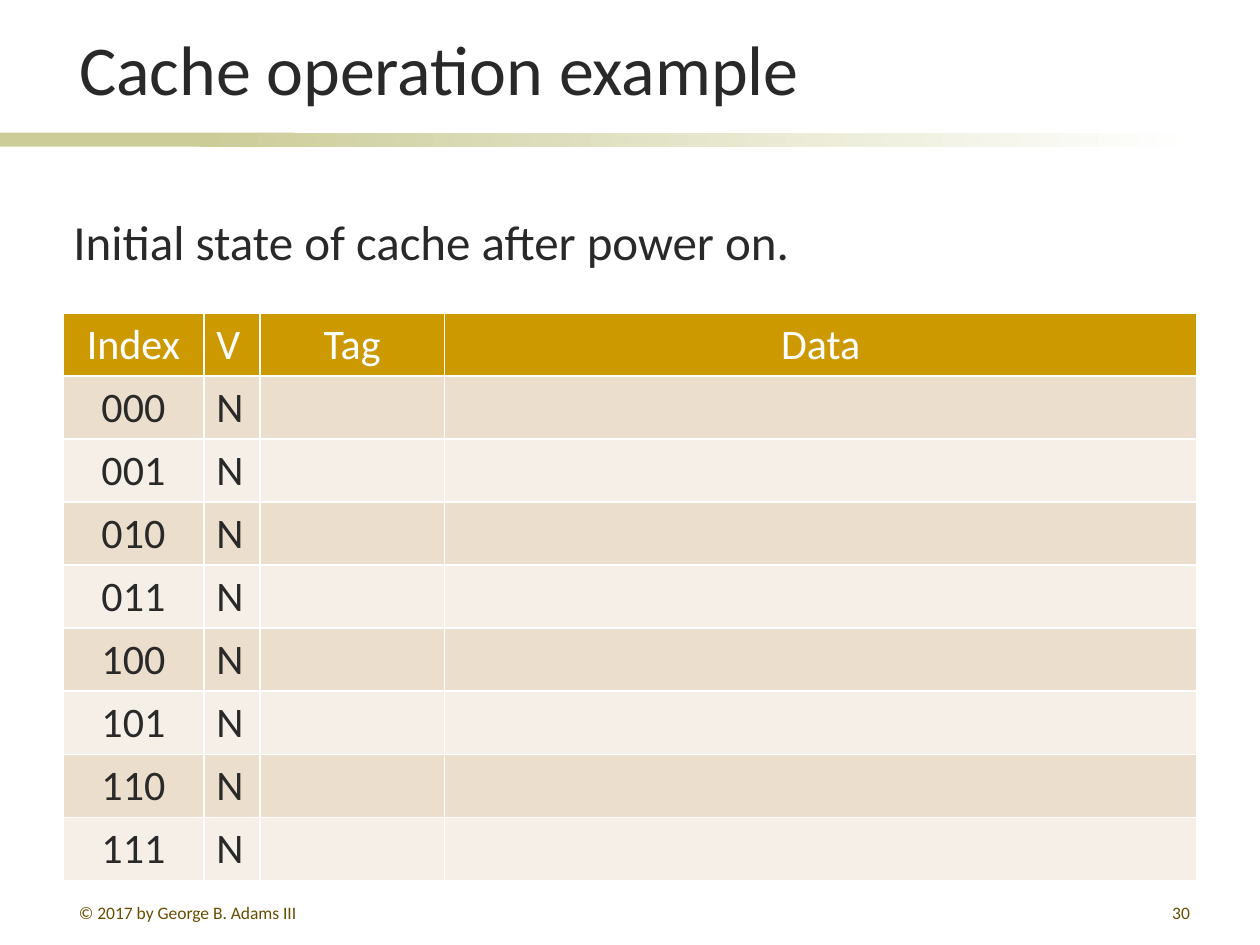
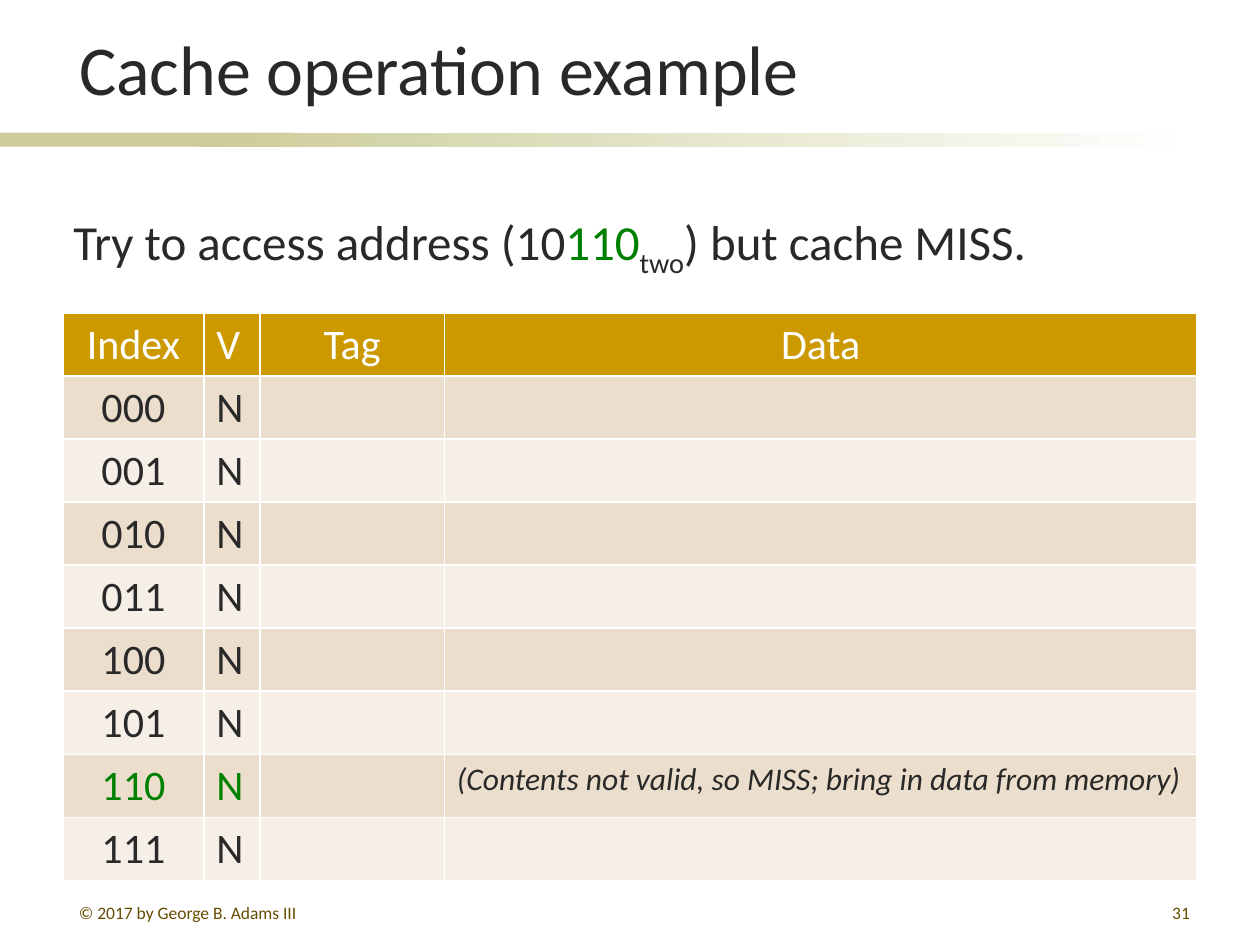
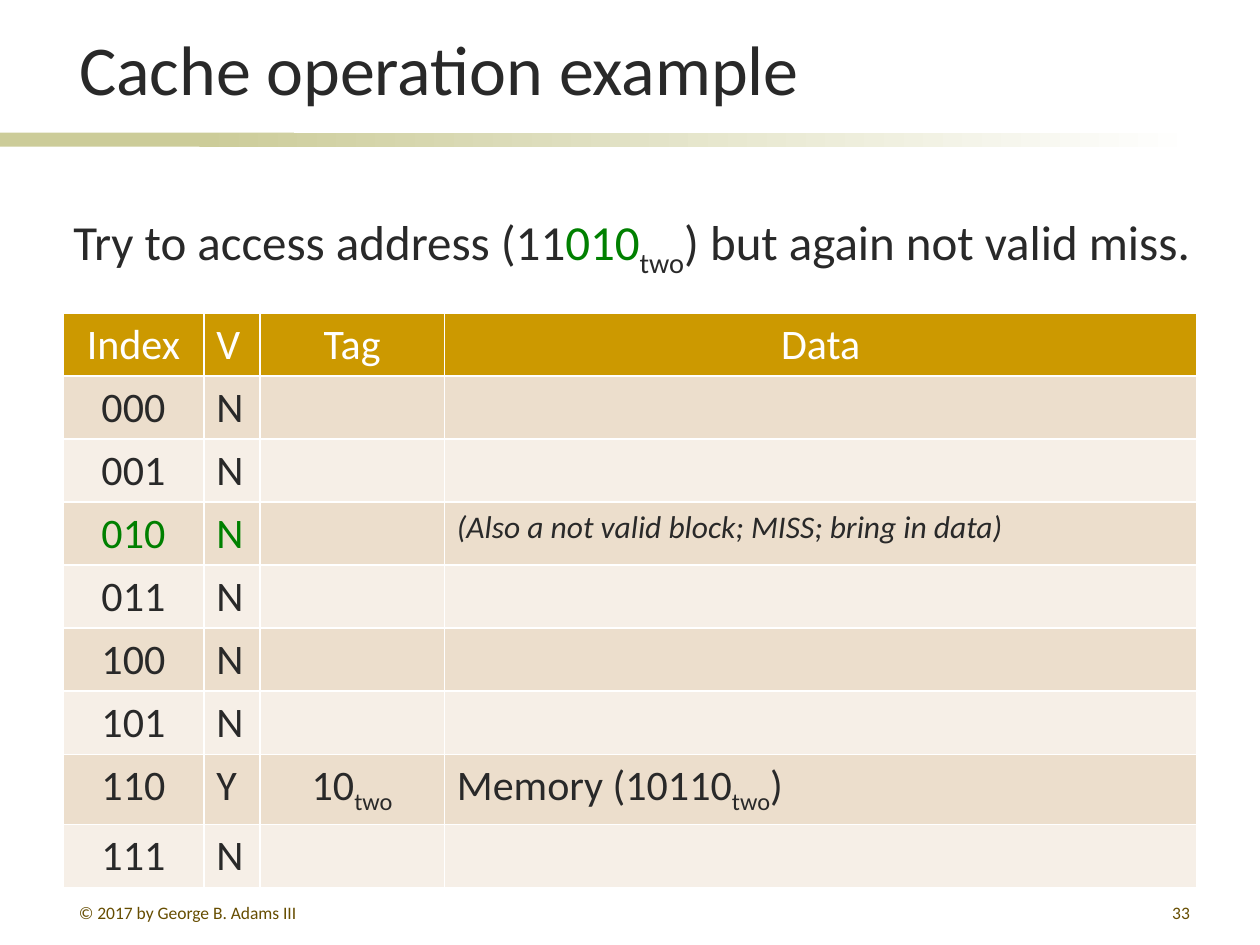
"""Build three slides that walk through the operation of a small cache."""
from lxml import etree
from pptx import Presentation
from pptx.dml import color
from pptx.enum import shapes, text
from pptx.oxml import ns
from pptx.util import Pt

COLORS = {
    "ink": "292929",
    "white": "FFFFFF",
    "olive": "CCCC99",
    "header": "CC9900",
    "odd_row": "ECDECC",
    "even_row": "F6EFE7",
    "index": "008000",
    "footer": "664D00",
}
FONT = "Calibri"
TITLE = "Cache operation example"
COPYRIGHT = "© 2017 by George B. Adams III"
HEADINGS = ["Index", "V", "Tag", "Data"]
COLUMN_WIDTHS = [80.5, 32, 105.5, 430]
CENTERED_COLUMNS = {0, 2}
ROW_HEIGHT = 36
GREEN = {"color": "index"}
NOTE = {"size": 18, "italic": True}
SUBSCRIPT = ("two", {"baseline": -25000})


def rgb(name):
    return color.RGBColor.from_string(COLORS[name])


class Deck:
    def __init__(self):
        self.presentation = Presentation()
        self.presentation.slide_width = Pt(720)
        self.presentation.slide_height = Pt(540)
        self.slide = None

    def add_text(self, frame, parts, align=text.PP_ALIGN.LEFT, **base):
        paragraph = frame.paragraphs[0]
        paragraph.alignment = align
        for part in parts:
            words, changes = (part, {}) if isinstance(part, str) else part
            style = {"size": 24, "color": "ink", "bold": False, **base, **changes}
            run = paragraph.add_run()
            run.text = words
            run.font.color.rgb = rgb(style.pop("color"))
            baseline = style.pop("baseline", None)
            if baseline:
                run.font._rPr.set("baseline", str(baseline))
            style["size"] = Pt(style["size"])
            for name, value in {"name": FONT, **style}.items():
                setattr(run.font, name, value)

    def start_slide(self, number):
        layout = self.presentation.slide_layouts[5]
        self.slide = self.presentation.slides.add_slide(layout)
        self.band(0, 168)
        self.band(114, 570, fade=True)
        self.title(TITLE)
        self.text_box((38, 512, 156, 15), [COPYRIGHT], size=10, color="footer")
        self.text_box((537, 512, 150, 15), [str(number)],
                      align=text.PP_ALIGN.RIGHT, size=10, color="footer")

    def band(self, left, width, fade=False):
        shape = self.slide.shapes.add_shape(
            shapes.MSO_SHAPE.RECTANGLE, Pt(left), Pt(75.8), Pt(width), Pt(8))
        shape.shadow.inherit = False
        shape.line.fill.background()
        if fade:
            shape.fill.gradient()
            shape.fill.gradient_angle = 0
            for stop, name in zip(shape.fill.gradient_stops, ["olive", "white"]):
                stop.color.rgb = rgb(name)
        else:
            shape.fill.solid()
            shape.fill.fore_color.rgb = rgb("olive")

    def title(self, words):
        shape = self.slide.shapes.title
        place = {"left": 38, "top": 8, "width": 649, "height": 58}
        for name, value in place.items():
            setattr(shape, name, Pt(value))
        frame = shape.text_frame
        frame.auto_size = text.MSO_AUTO_SIZE.NONE
        frame.vertical_anchor = text.MSO_ANCHOR.BOTTOM
        self.add_text(frame, [words], size=40)

    def text_box(self, box, parts, wrap=True, **style):
        frame = self.slide.shapes.add_textbox(*map(Pt, box)).text_frame
        frame.word_wrap = wrap
        if not wrap:
            frame.auto_size = text.MSO_AUTO_SIZE.SHAPE_TO_FIT_TEXT
        self.add_text(frame, parts, **style)

    def border(self, cell):
        properties = cell._tc.get_or_add_tcPr()
        for side in ("a:lnL", "a:lnR", "a:lnT", "a:lnB"):
            line = etree.SubElement(properties, ns.qn(side), w=str(Pt(1)))
            fill = etree.SubElement(line, ns.qn("a:solidFill"))
            etree.SubElement(fill, ns.qn("a:srgbClr"), val=COLORS["white"])

    def cache_table(self, rows):
        table = self.slide.shapes.add_table(
            len(rows), len(HEADINGS), Pt(36), Pt(178.8),
            Pt(sum(COLUMN_WIDTHS)), Pt(ROW_HEIGHT * len(rows))).table
        for column, width in zip(table.columns, COLUMN_WIDTHS):
            column.width = Pt(width)
        for row_number, row in enumerate(rows):
            header = row_number == 0
            fill = "header" if header else "odd_row" if row_number % 2 else "even_row"
            for column_number, parts in enumerate(row):
                cell = table.cell(row_number, column_number)
                self.border(cell)
                cell.fill.solid()
                cell.fill.fore_color.rgb = rgb(fill)
                centered = column_number in CENTERED_COLUMNS or (
                    header and column_number == 3)
                self.add_text(cell.text_frame, parts,
                              text.PP_ALIGN.CENTER if centered else text.PP_ALIGN.LEFT,
                              color="white" if header else "ink")


def cache_rows(changed):
    rows = [[[heading] for heading in HEADINGS]]
    for index in range(8):
        label = f"{index:03b}"
        rows.append(changed.get(label, [[label], ["N"], [], []]))
    return rows


def missed_row(label, note):
    return {label: [[(label, GREEN)], [("N", GREEN)], [], [(note, NOTE)]]}


def access(tag, index, outcome):
    return [f"Try to access address ({tag}", (index, GREEN), SUBSCRIPT, f") {outcome}"]


def main():
    filled_row = {"110": [["110"], ["Y"], ["10", SUBSCRIPT],
                          ["Memory (10110", SUBSCRIPT, ")"]]}
    steps = [
        (30, 430.5, ["Initial state of cache after power on."], {}),
        (31, 571.5, access("10", "110", "but cache MISS."),
         missed_row("110", "(Contents not valid, so MISS; bring in data from memory)")),
        (33, 666.5, access("11", "010", "but again not valid miss."),
         {**filled_row,
          **missed_row("010", "(Also a not valid block; MISS; bring in data)")}),
    ]
    deck = Deck()
    for number, width, sentence, changed in steps:
        deck.start_slide(number)
        deck.cache_table(cache_rows(changed))
        deck.text_box((34.8, 117.5, width, 41), sentence, wrap=False, size=28)
    deck.presentation.save("out.pptx")


if __name__ == "__main__":
    main()
